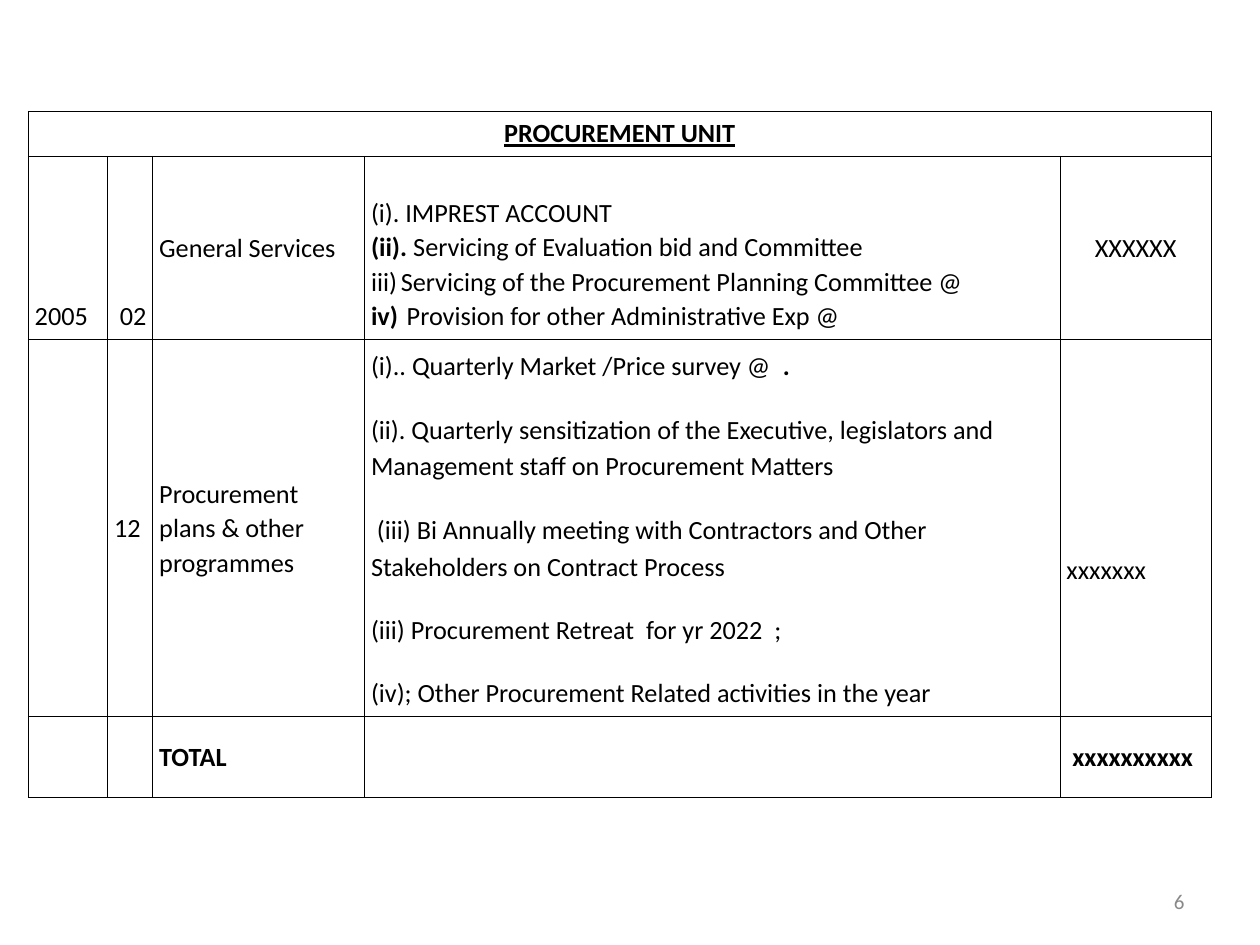
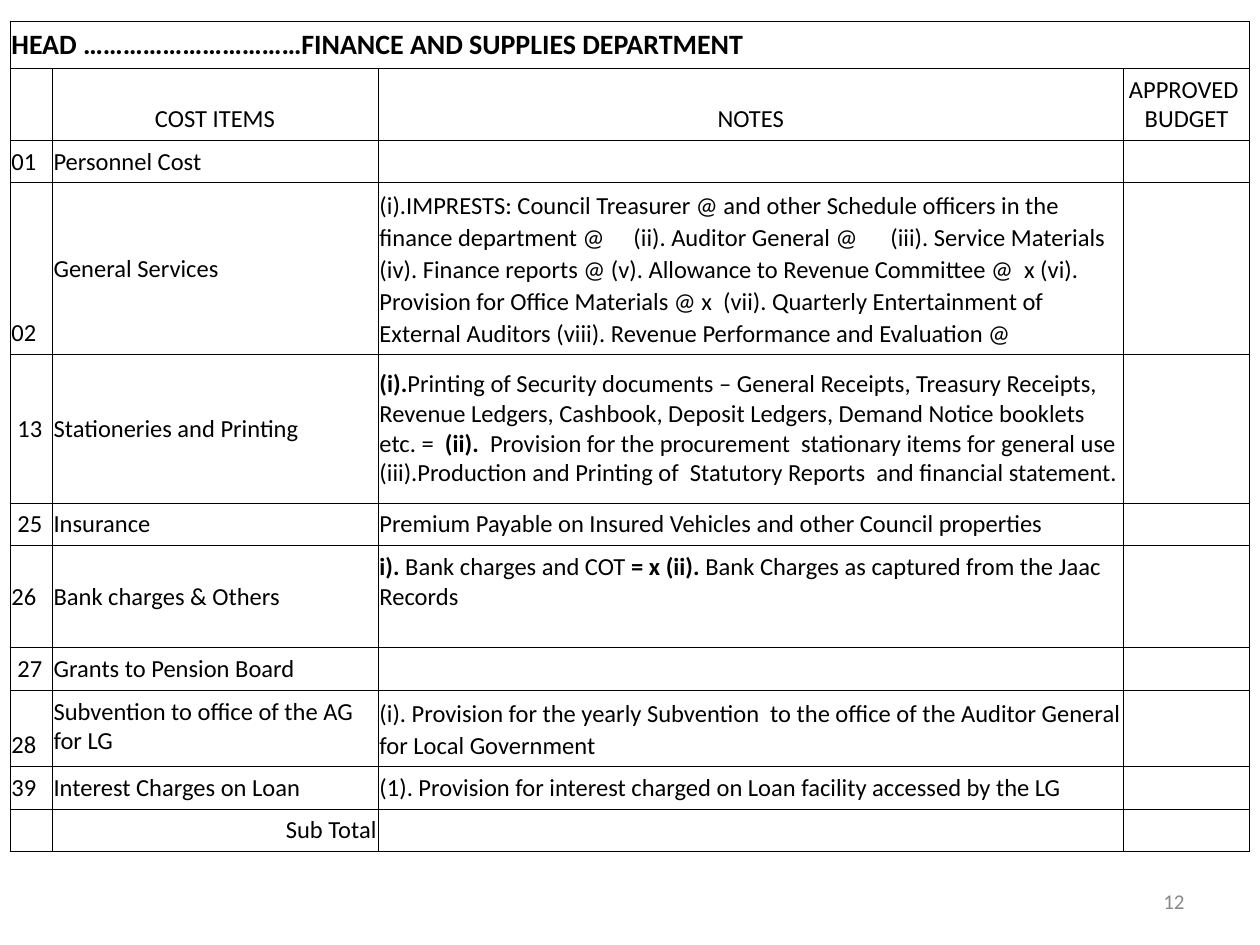
import dataclasses
import lxml.etree
import pptx
import pptx.dml.color
import pptx.enum.text
import pptx.oxml.ns
import pptx.util

Cm = pptx.util.Cm
Pt = pptx.util.Pt
ALIGN = pptx.enum.text.PP_ALIGN
ANCHOR = pptx.enum.text.MSO_ANCHOR


@dataclasses.dataclass(frozen=True)
class Theme:
    font: str = "Calibri"
    ink: str = "000000"
    muted: str = "898989"
    unit_size: float = 15
    department_size: float = 14
    heading_size: float = 16
    number_size: float = 12
    border: float = 0.45
    nudge: float = 0.12
    hanging: float = 0.6


@dataclasses.dataclass
class Line:
    text: str
    size: float = 0
    first_indent: float = 0
    start_at: int = 0
    tabs: tuple = ()
    font: dict = dataclasses.field(default_factory=dict)
    format: dict = dataclasses.field(default_factory=dict)


@dataclasses.dataclass
class Entry:
    lines: list
    format: dict = dataclasses.field(default_factory=dict)


@dataclasses.dataclass
class Grid:
    box: tuple
    columns: list
    heights: list
    size: float
    padding: float
    spacing: float


THEME = Theme()
EMPTY = Entry([])
NUMBER_BOX = (18.21, 17.65, 5.92, 1.02)


def set_values(target, values):
    for name, value in values.items():
        setattr(target, name, value)


def add_child(parent, tag, **values):
    child = lxml.etree.SubElement(parent, pptx.oxml.ns.qn(tag))
    for name, value in values.items():
        child.set(name, str(value))
    return child


def entry(text, anchor=ANCHOR.MIDDLE, align=ALIGN.LEFT, **options):
    line = Line(text, format={"alignment": align}, **options)
    return Entry([line], {"vertical_anchor": anchor})


def low(text, align=ALIGN.LEFT, **options):
    return entry(text, ANCHOR.BOTTOM, align, **options)


def high(text, **options):
    return entry(text, ANCHOR.TOP, **options)


def set_indent(properties, left, first):
    properties.set("marL", str(Cm(left)))
    properties.set("indent", str(Cm(first)))


def write_line(para, line, size, color):
    properties = para._p.get_or_add_pPr()
    if line.first_indent:
        set_indent(properties, 0, line.first_indent)
    if line.start_at:
        set_indent(properties, THEME.hanging, -THEME.hanging)
        add_child(properties, "a:buFont", typeface="+mj-lt")
        add_child(properties, "a:buAutoNum", type="romanLcParenR", startAt=line.start_at)
    if line.tabs:
        stops = add_child(properties, "a:tabLst")
        for position in line.tabs:
            add_child(stops, "a:tab", pos=Cm(position), algn="l")
    set_values(para, line.format)
    for index, piece in enumerate(line.text.split("**")):
        if piece:
            span = para.add_run()
            span.text = piece
            span.font.color.rgb = pptx.dml.color.RGBColor.from_string(color)
            set_values(span.font, {"name": THEME.font, "size": Pt(line.size or size),
                                   "bold": index % 2 == 1, **line.font})


def draw_borders(cell):
    properties = cell._tc.get_or_add_tcPr()
    for index, side in enumerate(("a:lnL", "a:lnR", "a:lnT", "a:lnB")):
        edge = add_child(properties, side, w=Pt(THEME.border))
        add_child(add_child(edge, "a:solidFill"), "a:srgbClr", val=THEME.ink)
        properties.insert(index, edge)


def fill_cell(cell, content, grid):
    cell.fill.background()
    draw_borders(cell)
    set_values(cell, {"margin_left": Cm(grid.padding), "margin_right": Cm(grid.padding),
                      "margin_top": Cm(0.13), "margin_bottom": Cm(0.13), **content.format})
    frame = cell.text_frame
    for index, line in enumerate(content.lines):
        para = frame.add_paragraph() if index else frame.paragraphs[0]
        para.line_spacing = grid.spacing
        write_line(para, line, grid.size, THEME.ink)
    if not content.lines:
        ending = frame.paragraphs[0]._p.get_or_add_endParaRPr()
        ending.set("sz", str(int(grid.size * 100)))


def add_budget_table(page, grid, rows):
    left, top = grid.box
    frame = page.shapes.add_table(len(rows), len(grid.columns), Cm(left), Cm(top),
                                  Cm(sum(grid.columns)), Cm(sum(grid.heights)))
    table = frame.table
    set_values(table, {"first_row": False, "horz_banding": False})
    for column, width in zip(table.columns, grid.columns):
        column.width = Cm(width)
    for row, height in zip(table.rows, grid.heights):
        row.height = Cm(height)
    for row, contents in zip(table.rows, rows):
        contents = contents + [EMPTY] * (len(grid.columns) - len(contents))
        for cell, content in zip(row.cells, contents):
            fill_cell(cell, content, grid)
    table.cell(0, 0).merge(table.cell(0, len(grid.columns) - 1))


def add_page_number(page, number):
    box = page.shapes.add_textbox(*map(Cm, NUMBER_BOX))
    set_values(box.text_frame, {"word_wrap": True, "vertical_anchor": ANCHOR.MIDDLE})
    line = Line(str(number), format={"alignment": ALIGN.RIGHT})
    write_line(box.text_frame.paragraphs[0], line, THEME.number_size, THEME.muted)


def build_procurement(page, box):
    grid = Grid(box, [1.6, 0.91, 4.27, 14.02, 3.05], [0.91, 3.69, 7.6, 1.63],
                THEME.unit_size, 0.13, 1.07)
    services = Entry([
        Line("(i). IMPREST ACCOUNT"),
        Line("**(ii). **Servicing of Evaluation bid and Committee"),
        Line("Servicing of the Procurement Planning Committee @", start_at=3),
        Line("** **Provision for other Administrative Exp @", start_at=3),
    ], {"vertical_anchor": ANCHOR.BOTTOM})
    programmes = Entry([
        Line("(i).. Quarterly Market /Price survey @  **.**"),
        Line("(ii). Quarterly sensitization of the Executive, legislators and "
             "Management staff on Procurement Matters"),
        Line("(iii) Bi Annually meeting with Contractors and Other "
             "Stakeholders on Contract Process", first_indent=THEME.nudge),
        Line("(iii) Procurement Retreat  for yr 2022  ;"),
        Line("(iv); Other Procurement Related activities in the year"),
    ], {"vertical_anchor": ANCHOR.MIDDLE})
    for index, line in enumerate(programmes.lines):
        line.format = {"line_spacing": 1.15, "space_after": Pt(3),
                       "space_before": Pt(12 if index else 0)}
    amount = low("xxxxxxx")
    amount.format["margin_bottom"] = Cm(2.62)
    title = low("**PROCUREMENT UNIT**", ALIGN.CENTER, font={"underline": True})
    title.lines[0].format["line_spacing"] = 1.0
    add_budget_table(page, grid, [
        [title],
        [low("2005"), low("02", ALIGN.RIGHT), entry("General Services"), services,
         entry("XXXXXX", align=ALIGN.CENTER)],
        [EMPTY, entry("12"), entry("Procurement plans & other programmes"),
         programmes, amount],
        [EMPTY, EMPTY, entry("**TOTAL**"), EMPTY,
         entry("**xxxxxxxxxx**", first_indent=THEME.nudge)],
    ])


def build_finance(page, box):
    grid = Grid(box, [0.85, 6.57, 15.03, 2.54],
                [0.95, 1.45, 0.85, 3.46, 3, 0.85, 2.06, 0.86, 1.53, 0.86, 0.85],
                THEME.department_size, 0.03, 1.0)
    imprests = entry(
        "(i).IMPRESTS: Council Treasurer @ and other Schedule officers in the finance "
        "department @\t(ii). Auditor General @\t(iii). Service Materials (iv). Finance "
        "reports @ (v). Allowance to Revenue Committee @  x (vi). Provision for Office "
        "Materials @ x  (vii). Quarterly Entertainment of External Auditors (viii). "
        "Revenue Performance and Evaluation @", tabs=(5.12, 10.3))
    printing = entry(
        "**(i).**Printing of Security documents – General Receipts, Treasury Receipts, "
        "Revenue Ledgers, Cashbook, Deposit Ledgers, Demand Notice booklets etc. = "
        "** (ii). ** Provision for the procurement  stationary items for general use  "
        "(iii).Production and Printing of  Statutory Reports  and financial statement.")
    subvention = high("(i). Provision for the yearly Subvention  to the office of the "
                      "Auditor General for Local Government")
    for note in (imprests, subvention):
        note.lines[0].format.update(line_spacing=1.07, space_after=Pt(8))
    add_budget_table(page, grid, [
        [low("**HEAD ……………………………FINANCE AND SUPPLIES DEPARTMENT**",
             size=THEME.heading_size)],
        [EMPTY] + [low(text, ALIGN.CENTER)
                   for text in ("COST ITEMS", "NOTES", "APPROVED  BUDGET")],
        [low("01"), low("Personnel Cost")],
        [low("02"), entry("General Services"), imprests],
        [entry("13", first_indent=THEME.nudge), entry("Stationeries and Printing"), printing],
        [low("25", first_indent=THEME.nudge), low("Insurance"),
         low("Premium Payable on Insured Vehicles and other Council properties")],
        [entry("26"), entry("Bank charges & Others"),
         high("**i).** Bank charges and COT **= x (ii). **Bank Charges as captured "
              "from the Jaac Records")],
        [low("27", first_indent=THEME.nudge), low("Grants to Pension Board")],
        [low("28"), high("Subvention to office of the AG for LG"), subvention],
        [low("39"), high("Interest Charges on Loan"),
         high("(1). Provision for interest charged on Loan facility accessed by the LG")],
        [EMPTY, low("Sub Total", ALIGN.RIGHT)],
    ])


def main():
    deck = pptx.Presentation()
    set_values(deck, {"slide_width": Cm(25.4), "slide_height": Cm(19.05)})
    for build, box, number in ((build_procurement, (0.57, 2.24), 6),
                               (build_finance, (0.2, 0.43), 12)):
        page = deck.slides.add_slide(deck.slide_layouts[6])
        build(page, box)
        add_page_number(page, number)
    deck.save("out.pptx")


if __name__ == "__main__":
    main()
